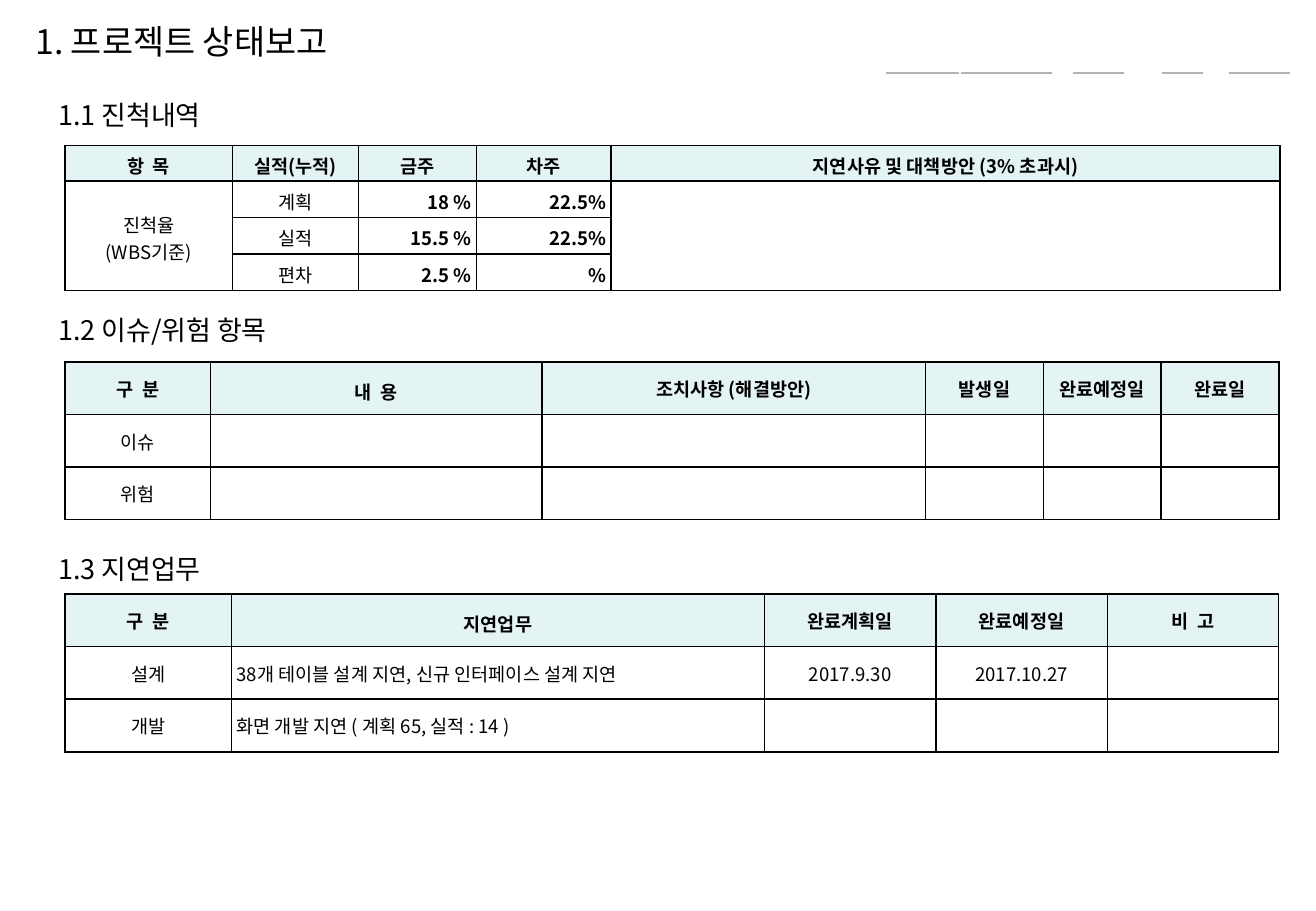
from dataclasses import dataclass
from lxml import etree
from pptx import Presentation
from pptx.dml.color import RGBColor
from pptx.enum.shapes import MSO_CONNECTOR
from pptx.enum.text import MSO_ANCHOR, PP_ALIGN
from pptx.oxml.ns import qn
from pptx.util import Inches, Pt

LINE = MSO_CONNECTOR.STRAIGHT
MIDDLE = MSO_ANCHOR.MIDDLE
ALIGN = {"l": PP_ALIGN.LEFT, "c": PP_ALIGN.CENTER, "r": PP_ALIGN.RIGHT}
EDGES = ("a:lnL", "a:lnR", "a:lnT", "a:lnB")


@dataclass(frozen=True)
class Theme:
    """Hold the colours, font and type sizes."""
    font: str = "Noto Sans CJK KR"
    ink: str = "000000"
    head: str = "E4F4F4"
    rule: str = "B2B2B2"
    title: int = 20
    sub: int = 16
    body: int = 11


THEME = Theme()


def grid(count):
    """Turn a count of grid cells, ten to the inch, into a length."""
    return Inches(count / 10)


def pad(area, left, top, right, bottom):
    """Set the insets of a text area and centre it in height."""
    area.margin_left, area.margin_top = grid(left), grid(top)
    area.margin_right, area.margin_bottom = grid(right), grid(bottom)
    area.vertical_anchor = MIDDLE


def write(frame, text, size=THEME.body, bold=False, align="l", lead=1.0):
    """Fill a text frame, one paragraph for each line."""
    for index, line in enumerate(text.split("\n")):
        para = frame.add_paragraph() if index else frame.paragraphs[0]
        para.alignment = ALIGN[align]
        para.line_spacing = lead
        if not line:
            etree.SubElement(para._p, qn("a:endParaRPr"), sz=str(size * 100))
            continue
        run = para.add_run()
        run.text = line
        run.font.size, run.font.bold = Pt(size), bold
        run.font.color.rgb = RGBColor.from_string(THEME.ink)
        run.font.name = THEME.font
        props = run._r.get_or_add_rPr()
        etree.SubElement(props, qn("a:ea"), typeface=THEME.font)


def edge(cell):
    """Draw a thin line on all four sides of a cell."""
    props = cell._tc.get_or_add_tcPr()
    for side in EDGES:
        line = etree.SubElement(props, qn(side), w=str(Pt(1)))
        fill = etree.SubElement(line, qn("a:solidFill"))
        etree.SubElement(fill, qn("a:srgbClr"), val=THEME.ink)


def rules(slide, box, spans):
    """Draw the row of short rules along the top of the box."""
    left, top, _, _ = box
    for start, end in spans:
        line = slide.shapes.add_connector(
            LINE, grid(left + start), grid(top), grid(left + end), grid(top))
        line.line.color.rgb = RGBColor.from_string(THEME.rule)
        line.line.width = Pt(1.5)
        etree.SubElement(line._element.spPr, qn("a:effectLst"))


def header(slide, box, text):
    """Place the slide title in the box."""
    title = slide.shapes.title
    title.left, title.top, title.width, title.height = map(grid, box)
    frame = title.text_frame
    frame.word_wrap = False
    pad(frame, 1, 0.5, 1, 0.5)
    write(frame, text, size=THEME.title)


def label(slide, box, text):
    """Place a section heading in the box."""
    frame = slide.shapes.add_textbox(*map(grid, box)).text_frame
    frame.word_wrap = True
    pad(frame, 1, 0.5, 1, 0.5)
    write(frame, text, size=THEME.sub)


def table(slide, box, cols, rows, data, align, tight=False, loose=None, spans=()):
    """Build a ruled table whose columns and rows share the box by weight."""
    left, top, width, height = box
    sheet = slide.shapes.add_table(len(rows), len(cols), *map(grid, box)).table
    sheet.first_row = sheet.horz_banding = False
    for col, share in zip(sheet.columns, cols):
        col.width = grid(width * share / sum(cols))
    for row, share in zip(sheet.rows, rows):
        row.height = grid(height * share / sum(rows))
    for y, line in enumerate(data):
        for x, text in enumerate(line):
            cell, first = sheet.cell(y, x), y == 0
            side = 1 if first else 0.4
            ends = (0.5, 0.2) if tight else (0.4, 0.4)
            pad(cell, side, ends[0], side, ends[1])
            edge(cell)
            if first:
                cell.fill.solid()
                cell.fill.fore_color.rgb = RGBColor.from_string(THEME.head)
            else:
                cell.fill.background()
            write(cell.text_frame, text, bold=first or align[x] == "r",
                  align="c" if first else align[x],
                  lead=1.2 if first and x == loose else 1.0)
    for start, end in spans:
        sheet.cell(*start).merge(sheet.cell(*end))


def section(slide, box, text, gap, **parts):
    """Stack a heading and, below the gap, a table that fills the box."""
    left, top, width, height = box
    label(slide, (left, top, 44.9, 3.7), text)
    table(slide, (left + 1.55, top + gap, width - 1.55, height - gap), **parts)


def main():
    """Build the status report slide."""
    deck = Presentation()
    deck.slide_width, deck.slide_height = grid(108.3), grid(75)
    slide = deck.slides.add_slide(deck.slide_layouts[5])
    rules(slide, (72.9, 6, 33.3, 0),
          ((0, 6), (6.2, 13.7), (15.4, 19.6), (22.7, 26.1), (28.2, 33.3)))
    header(slide, (1.9, 1.2, 27, 4.4), "1. 프로젝트 상태보고")
    section(slide, (3.8, 7.6, 101.55, 16.3), "1.1 진척내역", 4.4,
            cols=(13.8, 10.4, 9.7, 11.1, 55.1), rows=(2.9, 3, 3, 3),
            align="ccrrc", tight=True,
            spans=(((1, 0), (3, 0)), ((1, 4), (3, 4))),
            data=(("항  목", "실적(누적)", "금주", "차주",
                   "지연사유 및 대책방안 (3% 초과시)"),
                  ("진척율\n(WBS기준)", "계획", "18 %", "22.5%", ""),
                  ("", "실적", "15.5 %", "22.5%", ""),
                  ("", "편차", "2.5 %", "%", "")))
    section(slide, (3.8, 25.3, 101.45, 17.5), "1.2 이슈/위험 항목", 4.5,
            cols=(12, 27.3, 31.6, 9.7, 9.7, 9.7), rows=(1, 1, 1),
            align="cccccc", loose=1,
            data=(("구  분", "내  용", "조치사항 (해결방안)",
                   "발생일", "완료예정일", "완료일"),
                  ("이슈", "", "", "", "", ""),
                  ("위험", "", "", "", "", "")))
    section(slide, (3.8, 45, 101.45, 16.9), "1.3 지연업무", 3.9,
            cols=(13.7, 43.8, 14.1, 14.1, 14.1), rows=(1, 1, 1),
            align="clccc", loose=1,
            data=(("구  분", "지연업무", "완료계획일", "완료예정일", "비  고"),
                  ("설계", "38개 테이블 설계 지연, 신규 인터페이스 설계 지연",
                   "2017.9.30", "2017.10.27", ""),
                  ("개발", "화면 개발 지연 ( 계획 65, 실적 : 14 )", "", "", "")))
    deck.save("out.pptx")


if __name__ == "__main__":
    main()
